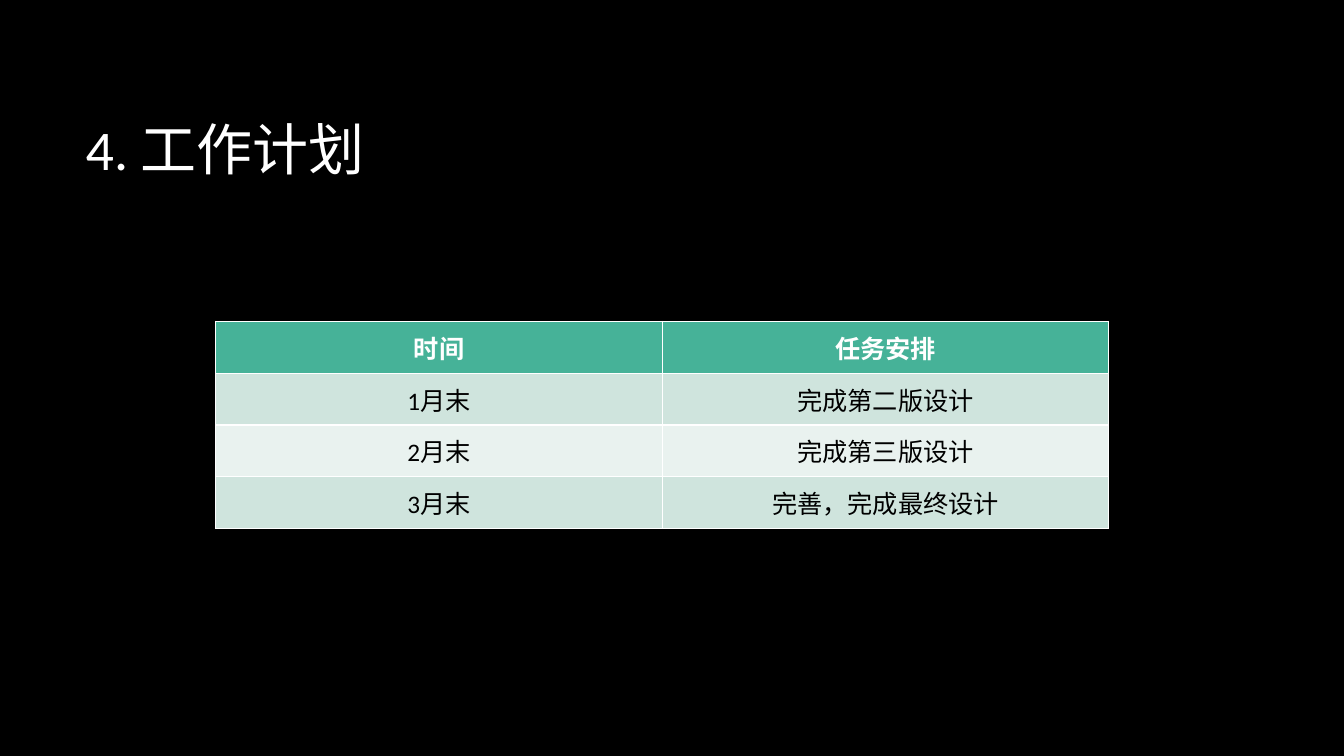
"""Build the work plan slide: a title and a schedule table."""
from pptx import Presentation, util as u
from pptx.dml.color import RGBColor
from pptx.enum import text

TITLE = "4. 工作计划"
PLAN = [
    ("时间", "任务安排"),
    ("1月末", "完成第二版设计"),
    ("2月末", "完成第三版设计"),
    ("3月末", "完善，完成最终设计"),
]
HEADER, BANDS = "46B298", ("E9F2EF", "CFE4DD")
TITLE_BOX = (0.75, 0.67, 11.08, 1.59)
LEFT, TOP, COL_W, ROW_H = 2.14, 3.19, 4.43, 0.513


def rgb(value):
    return RGBColor.from_string(value)


def paint(fill, color):
    fill.solid()
    fill.fore_color.rgb = rgb(color)


def style(p, align, color, **formats):
    p.alignment = align
    p.font.color.rgb = rgb(color)
    for name, value in {"name": "Calibri", **formats}.items():
        setattr(p.font, name, value)


def main():
    prs = Presentation()
    prs.slide_width, prs.slide_height = u.Inches(13.333), u.Inches(7.5)
    s = prs.slides.add_slide(prs.slide_layouts[5])
    paint(s.background.fill, "000000")

    title = s.shapes.title
    for name, value in zip(("left", "top", "width", "height"), TITLE_BOX):
        setattr(title, name, u.Inches(value))
    tf = title.text_frame
    tf.text = TITLE
    tf.auto_size = text.MSO_AUTO_SIZE.NONE
    tf.vertical_anchor = text.MSO_ANCHOR.MIDDLE
    style(tf.paragraphs[0], text.PP_ALIGN.LEFT, "FFFFFF", size=u.Pt(40))

    rows, cols = len(PLAN), len(PLAN[0])
    box = (LEFT, TOP, cols * COL_W, rows * ROW_H)
    table = s.shapes.add_table(rows, cols, *map(u.Inches, box)).table
    for i, row in enumerate(PLAN):
        header = i == 0
        for j, words in enumerate(row):
            cell = table.cell(i, j)
            cell.text = words
            cell.vertical_anchor = text.MSO_ANCHOR.MIDDLE
            paint(cell.fill, HEADER if header else BANDS[i % 2])
            style(cell.text_frame.paragraphs[0], text.PP_ALIGN.CENTER,
                  "FFFFFF" if header else "000000", size=u.Pt(18), bold=header)

    prs.save("out.pptx")


if __name__ == "__main__":
    main()
